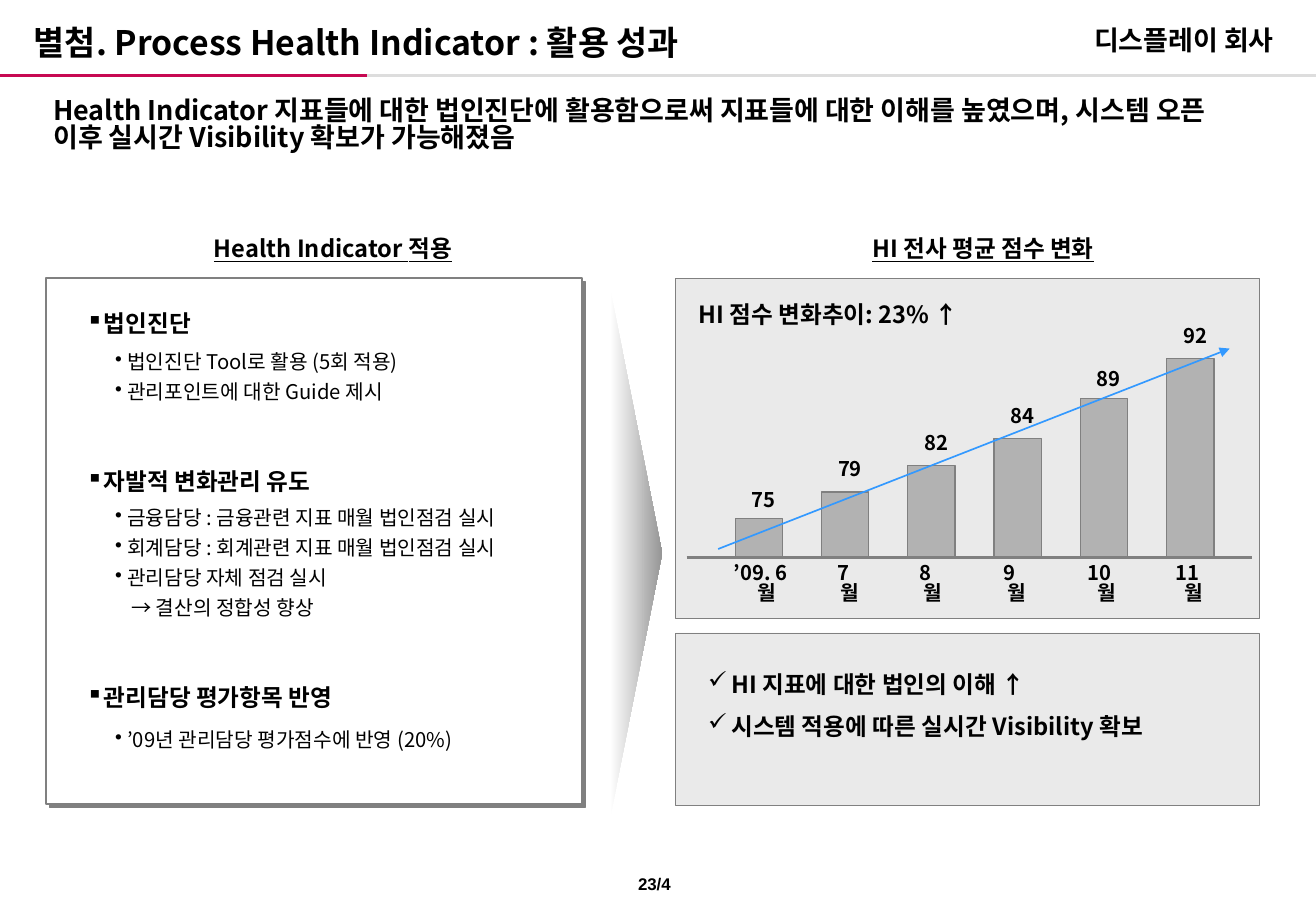
from lxml import etree
from pptx import Presentation
from pptx.dml.color import RGBColor
from pptx.enum.shapes import MSO_CONNECTOR, MSO_SHAPE
from pptx.enum.text import MSO_ANCHOR, PP_ALIGN
from pptx.oxml.ns import qn
from pptx.util import Inches, Pt

LEFT, CENTER, RIGHT = PP_ALIGN.LEFT, PP_ALIGN.CENTER, PP_ALIGN.RIGHT
TOP, MIDDLE = MSO_ANCHOR.TOP, MSO_ANCHOR.MIDDLE
RECTANGLE, PENTAGON = MSO_SHAPE.RECTANGLE, MSO_SHAPE.PENTAGON
STRAIGHT = MSO_CONNECTOR.STRAIGHT
SANS = "Noto Sans CJK KR"
GRAY, PALE, WHITE = "808080", "EAEAEA", "FFFFFF"

prs = Presentation()
prs.slide_width, prs.slide_height = Inches(10.83), Inches(7.5)
slide = prs.slides.add_slide(prs.slide_layouts[6])
shapes = slide.shapes
color = RGBColor.from_string


def add_text(box, lines, size, bold=True, align=LEFT, anchor=TOP, font=SANS,
             spacing=0.85, before=5.6, inset=(0.1, 0.05), underline=False):
    """Add a text box; each line is (text, bullet, hanging indent in inches)."""
    frame = shapes.add_textbox(*map(Inches, box)).text_frame
    side, edge = map(Inches, inset)
    layout = {"word_wrap": True, "vertical_anchor": anchor, "margin_left": side,
              "margin_right": side, "margin_top": edge, "margin_bottom": edge}
    for name, value in layout.items():
        setattr(frame, name, value)
    for i, (text, bullet, indent) in enumerate(lines):
        para = frame.add_paragraph() if i else frame.paragraphs[0]
        para.alignment, para.line_spacing = align, spacing
        if i:
            para.space_before = Pt(before)
        if indent:
            props = para._p.get_or_add_pPr()
            props.set("marL", str(Inches(indent)))
            props.set("indent", str(-Inches(indent)))
            if bullet:
                etree.SubElement(props, qn("a:buChar"), char=bullet)
        run = para.add_run()
        run.text = text
        style = {"name": font, "size": Pt(size), "bold": bold, "underline": underline}
        for name, value in style.items():
            setattr(run.font, name, value)
        run.font.color.rgb = color("000000")
        run.font._element.find(qn("a:latin")).addnext(
            etree.Element(qn("a:ea"), typeface=font))


def add_box(box, fill, line_width):
    rect = shapes.add_shape(RECTANGLE, *map(Inches, box))
    rect.shadow.inherit = False
    rect.fill.solid()
    rect.fill.fore_color.rgb = color(fill)
    rect.line.color.rgb = color(GRAY)
    rect.line.width = Pt(line_width)
    return rect


# Header
add_text((0.18, 0.14, 8.02, 0.47),
         [("별첨. Process Health Indicator : 활용 성과", None, 0)], 20, anchor=MIDDLE)
add_text((7.6, 0.14, 2.98, 0.47), [("디스플레이 회사", None, 0)], 16,
         align=RIGHT, spacing=1.02)
add_text((0.34, 0.76, 10.12, 0.79),
         [("Health Indicator 지표들에 대한 법인진단에 활용함으로써 지표들에 대한 이해를 "
           "높였으며, 시스템 오픈 이후 실시간 Visibility 확보가 가능해졌음", None, 0)], 16)
add_text((5.06, 7.14, 0.65, 0.27), [("23/4", None, 0)], 10,
         align=CENTER, font="Arial", spacing=1)

# Panels and their headings
for left, heading in [(1.23, "Health Indicator 적용"), (6.58, "HI 전사 평균 점수 변화")]:
    add_text((left, 1.9, 3.02, 0.33), [(heading, None, 0)], 14, align=CENTER,
             anchor=MIDDLE, inset=(0, 0), underline=True)
add_box((5.56, 5.21, 4.8, 1.42), PALE, 0.25)
add_box((5.56, 2.29, 4.8, 2.8), PALE, 0.25)
application_panel = add_box((0.38, 2.29, 4.41, 4.33), WHITE, 1)
shadow = etree.SubElement(
    application_panel._element.spPr.find(qn("a:effectLst")), qn("a:outerShdw"),
    dist=str(Pt(2.8)), dir="2700000", algn="ctr", rotWithShape="0")
etree.SubElement(shadow, qn("a:srgbClr"), val=GRAY)

# Application topics: heading top, heading, details top, details
topics = [
    (2.53, "법인진단", 2.86,
     ["법인진단 Tool로 활용 (5회 적용)", "관리포인트에 대한 Guide 제시"]),
    (3.83, "자발적 변화관리 유도", 4.14,
     ["금융담당 : 금융관련 지표 매월 법인점검 실시",
      "회계담당 : 회계관련 지표 매월 법인점검 실시",
      "관리담당 자체 점검 실시", "→ 결산의 정합성 향상"]),
    (5.61, "관리담당 평가항목 반영", 5.97, ["’09년 관리담당 평가점수에 반영 (20%)"]),
]
for topic_top, topic, details_top, details in topics:
    add_text((0.61, topic_top, 3.65, 0.33), [(topic, "▪", 0.12)], 14)
    detail_lines = [(d, None, 0) if d.startswith("→") else (d, "•", 0.1) for d in details]
    add_text((0.85, details_top, 3.99, 0.3 * len(details)), detail_lines, 12, bold=False)
    if details[-1].startswith("→"):
        result = shapes[-1].text_frame.paragraphs[-1]
        result._p.get_or_add_pPr().set("marL", str(Inches(0.13)))

# Score bars: score, bar top, score top, month, month centre, month width
BASELINE, BAR_WIDTH, BAR_STEP = 4.59, 0.39, 0.71
scores = [
    ("75", 4.27, 3.99, "’09. 6월", 6.26, 0.56),
    ("79", 4.05, 3.74, "7월", 6.94, 0.28),
    ("82", 3.83, 3.52, "8월", 7.62, 0.28),
    ("84", 3.61, 3.3, "9월", 8.31, 0.28),
    ("89", 3.28, 3, "10월", 9.05, 0.36),
    ("92", 2.95, 2.64, "11월", 9.77, 0.36),
]
for i, (score, bar_top, score_top, month, month_center, month_width) in enumerate(scores):
    bar_left = 6.05 + i * BAR_STEP
    add_box((bar_left, bar_top, BAR_WIDTH, BASELINE - bar_top), "B2B2B2", 0.75)
    add_text((bar_left + 0.04, score_top, BAR_WIDTH, 0.3), [(score, None, 0)], 12,
             align=CENTER, inset=(0.02, 0.05))
    add_text((month_center - month_width / 2, BASELINE, month_width, 0.45),
             [(month, None, 0.11)], 12, align=CENTER, inset=(0.02, 0.05))

# Header rules, chart baseline and trend arrow
rules = [
    (0, 0.62, 3.02, 0.62, "C70952", 1.5),
    (3.02, 0.62, 10.83, 0.62, "DDDDDD", 1.5),
    (5.65, BASELINE, 10.3, BASELINE, GRAY, 2.25),
    (5.91, 4.52, 10.12, 2.87, "3399FF", 1),
]
for *ends, rule_color, width in rules:
    rule = shapes.add_connector(STRAIGHT, *map(Inches, ends))
    rule.line.color.rgb = color(rule_color)
    rule.line.width = Pt(width)
    etree.SubElement(rule._element.spPr, qn("a:effectLst"))
trend = rule
etree.SubElement(trend.line._get_or_add_ln(), qn("a:tailEnd"), type="triangle")

# Score summary and results
add_text((5.65, 2.46, 2.91, 0.34), [("HI 점수 변화추이: 23% ↑", None, 0)], 14)
add_text((5.73, 5.42, 4.37, 0.85),
         [("HI 지표에 대한 법인의 이해 ↑", "✓", 0.19),
          ("시스템 적용에 따른 실시간 Visibility 확보", "✓", 0.19)],
         14, spacing=1.19, before=5)

# Transition between the panels
transition = shapes.add_shape(PENTAGON, *map(Inches, (5.02, 2.37, 0.43, 4.37)))
transition.adjustments[0] = 1
transition.shadow.inherit = False
transition.line.fill.background()
transition.fill.gradient()
transition.fill.gradient_angle = 0
for stop, stop_color in zip(transition.fill.gradient_stops, (WHITE, "969696")):
    stop.color.rgb = color(stop_color)

prs.save("out.pptx")
